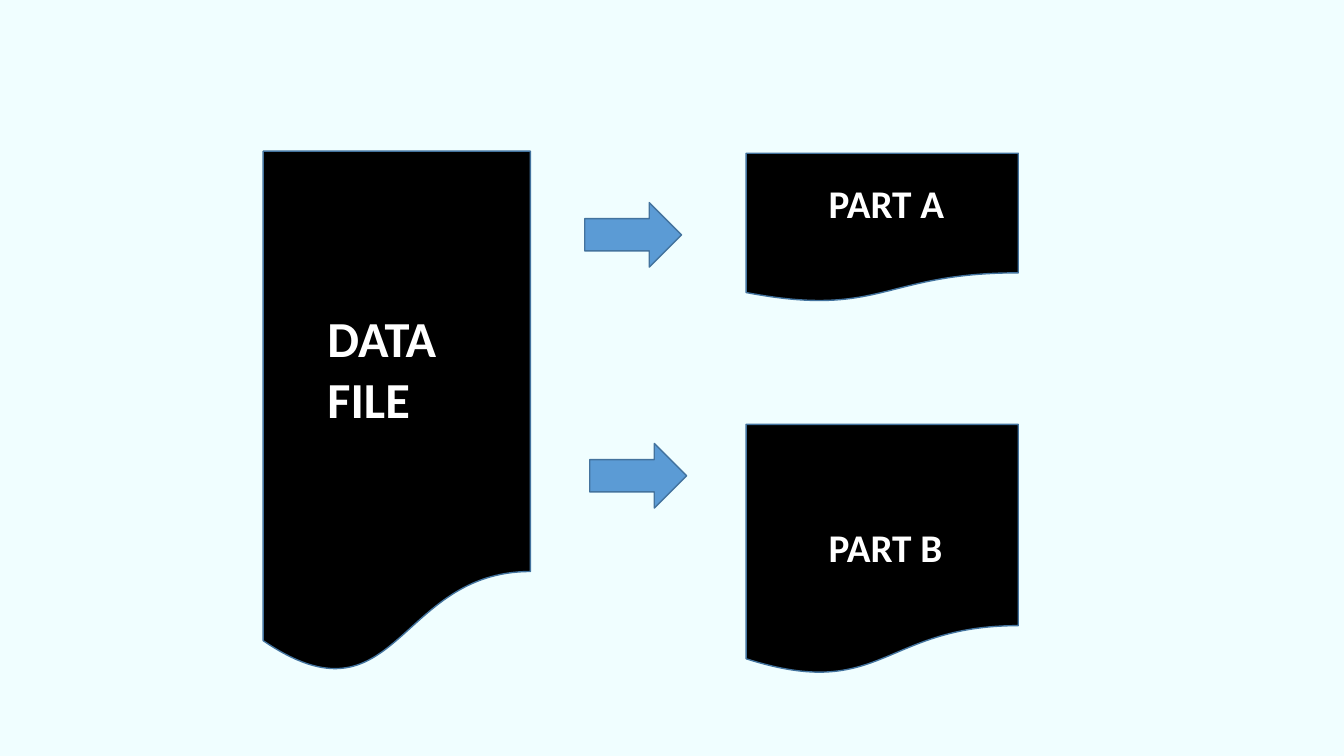
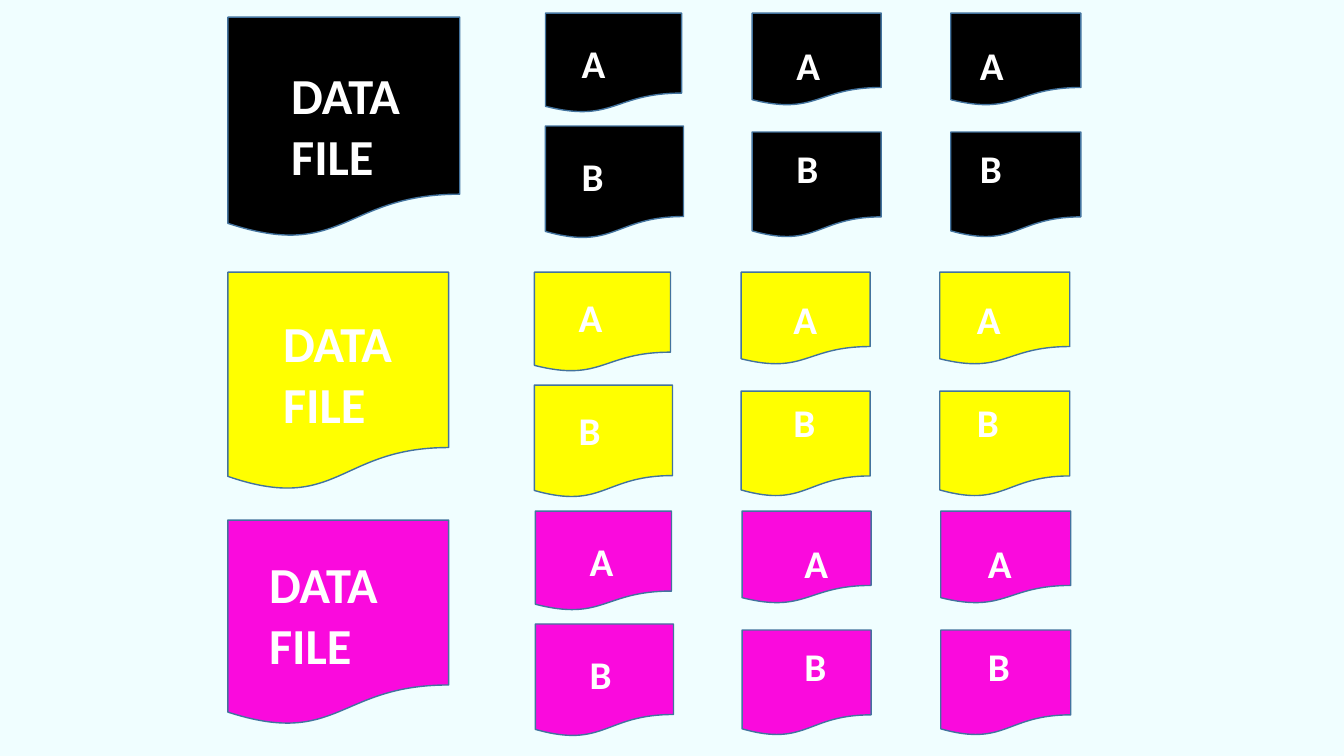
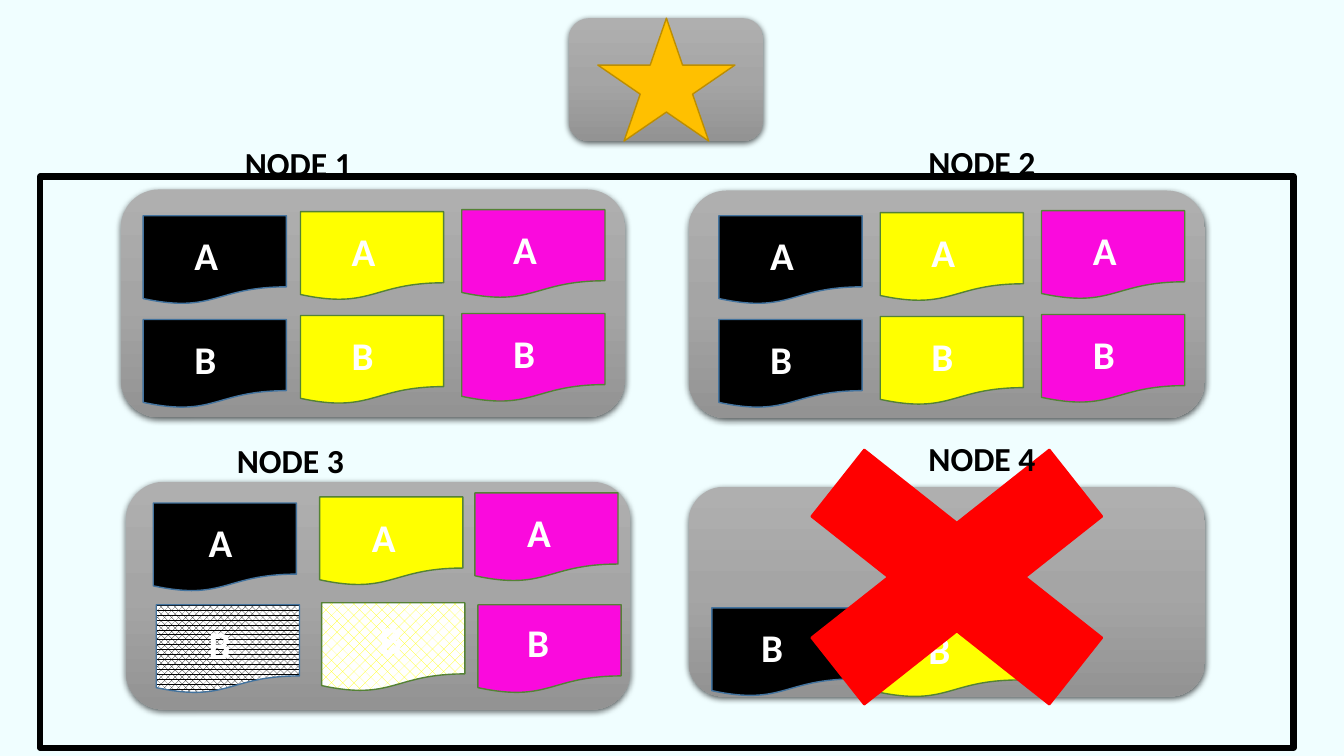
import lxml.etree
import pptx
import pptx.dml.color
import pptx.enum.dml
import pptx.enum.shapes
import pptx.enum.text
import pptx.oxml.ns
import pptx.util

Inches = pptx.util.Inches
SHAPE = pptx.enum.shapes.MSO_SHAPE
PATTERN = pptx.enum.dml.MSO_PATTERN

FONT = "Calibri"
BACKGROUND = "F0FEFF"
BLACK, WHITE, YELLOW, MAGENTA = "000000", "FFFFFF", "FFFF00", "FA0ADD"
BLUE, RED, GOLD = "5B9BD5", "FF0000", "FFC000"
BLUE_EDGE, GREEN_EDGE, GOLD_EDGE = "43739E", "548235", "BD8E00"
GREY_STOPS = ((0, "AFAFAF"), (50, "A5A5A5"), (100, "939393"))


def rgb(color):
    return pptx.dml.color.RGBColor.from_string(color)


def add_xml(parent, tag, **attributes):
    return lxml.etree.SubElement(parent, pptx.oxml.ns.qn(tag), attributes)


class Deck:
    """Holds the shared style and the slide being drawn."""

    def __init__(self):
        self.presentation = pptx.Presentation()
        self.presentation.slide_width = Inches(13.33)
        self.presentation.slide_height = Inches(7.5)
        backdrop = self.presentation.slide_master.background.fill
        backdrop.solid()
        backdrop.fore_color.rgb = rgb(BACKGROUND)
        self.slide = None

    def new_slide(self):
        blank = self.presentation.slide_layouts[6]
        self.slide = self.presentation.slides.add_slide(blank)

    def shape(self, preset, box, fill=None, edge=None, weight=1):
        shape = self.slide.shapes.add_shape(preset, *map(Inches, box))
        shape.shadow.inherit = False
        if fill:
            shape.fill.solid()
            shape.fill.fore_color.rgb = rgb(fill)
        else:
            shape.fill.background()
        if edge:
            shape.line.color.rgb = rgb(edge)
            shape.line.width = pptx.util.Pt(weight)
        else:
            shape.line.fill.background()
        return shape

    def document(self, box, fill, edge=BLUE_EDGE, pattern=None):
        document = self.shape(SHAPE.FLOWCHART_DOCUMENT, box, fill, edge)
        if pattern:
            document.fill.patterned()
            document.fill.pattern = pattern
            document.fill.fore_color.rgb = rgb(fill)
            document.fill.back_color.rgb = rgb(WHITE)

    def panel(self, box):
        """Grey rounded panel with a gradient and a soft shadow."""
        panel = self.shape(SHAPE.ROUNDED_RECTANGLE, box)
        panel.fill.gradient()
        panel.fill.gradient_angle = 270
        properties = panel._element.spPr
        stops = properties.find(".//" + pptx.oxml.ns.qn("a:gsLst"))
        for stop in list(stops):
            stops.remove(stop)
        for percent, color in GREY_STOPS:
            stop = add_xml(stops, "a:gs", pos=str(percent * 1000))
            add_xml(stop, "a:srgbClr", val=color)
        effects = properties.find(pptx.oxml.ns.qn("a:effectLst"))
        shadow = add_xml(effects, "a:outerShdw", blurRad="57150", dist="19050",
                         dir="5400000", algn="ctr", rotWithShape="0")
        shade = add_xml(shadow, "a:srgbClr", val=BLACK)
        add_xml(shade, "a:alpha", val="63000")

    def put_text(self, holder, text, size, color):
        frame = holder.text_frame
        frame.word_wrap = True
        frame.vertical_anchor = pptx.enum.text.MSO_ANCHOR.TOP
        frame.text = text
        for paragraph in frame.paragraphs:
            paragraph.alignment = pptx.enum.text.PP_ALIGN.LEFT
            for run in paragraph.runs:
                run.font.name = FONT
                run.font.size = pptx.util.Pt(size)
                run.font.bold = True
                run.font.color.rgb = rgb(color)

    def text(self, box, text, size, color=WHITE):
        holder = self.slide.shapes.add_textbox(*map(Inches, box))
        self.put_text(holder, text, size, color)

    def letter(self, left, top, text):
        holder = self.shape(SHAPE.FLOWCHART_DOCUMENT, (left, top, 0.91, 0.71))
        self.put_text(holder, text, 28, WHITE)

    def file_title(self, left, top):
        self.text((left, top, 1.57, 1.31), "DATA\nFILE", 36)


def split_slide(deck):
    deck.new_slide()
    for box in ((2.61, 1.5, 2.65, 5.2), (7.4, 1.52, 2.7, 1.48),
                (7.4, 4.21, 2.7, 2.49)):
        deck.document(box, BLACK)
    for top, name in ((1.73, "PART A"), (5.14, "PART B")):
        deck.text((8.12, top, 1.81, 0.57), name, 28)
    deck.file_title(3.15, 3)
    for left, top in ((5.8, 2.01), (5.85, 4.4)):
        deck.shape(SHAPE.RIGHT_ARROW, (left, top, 0.96, 0.64), BLUE, BLUE_EDGE)


def replicas_slide(deck):
    deck.new_slide()
    # Each file: colour, whole file, its title, first part, first letter
    files = (
        (BLACK, (2.26, 0.17, 2.3, 2.19), (2.79, 0.59), (5.41, 0.13), (5.67, 0.34)),
        (YELLOW, (2.26, 2.7, 2.19, 2.17), (2.71, 3.05), (5.3, 2.7), (5.64, 2.86)),
        (MAGENTA, (2.26, 5.16, 2.19, 2.04), (2.57, 5.44), (5.31, 5.07), (5.75, 5.28)),
    )
    # Each part, relative to the first: name, place, size, letter place
    parts = (
        ("A", (0, 0), (1.35, 0.99), (0, 0)),
        ("B", (0, 1.12), (1.37, 1.12), (0, 1.12)),
        ("A", (2.05, 0), (1.28, 0.92), (2.13, 0.02)),
        ("B", (2.05, 1.18), (1.28, 1.05), (2.13, 1.04)),
        ("A", (4.02, 0), (1.29, 0.92), (3.95, 0.02)),
        ("B", (4.02, 1.18), (1.29, 1.05), (3.95, 1.04)),
    )
    for color, whole, title, (left, top), (letter_left, letter_top) in files:
        deck.document(whole, color)
        deck.file_title(*title)
        for name, (dx, dy), size, (letter_dx, letter_dy) in parts:
            deck.document((left + dx, top + dy, *size), color)
            deck.letter(letter_left + letter_dx, letter_top + letter_dy, name)


def nodes_slide(deck):
    deck.new_slide()
    for node in ((6.83, 1.89, 5.12, 2.26), (1.2, 1.88, 5, 2.26),
                 (1.25, 4.78, 5, 2.26), (6.83, 4.83, 5.12, 2.08)):
        deck.panel(node)

    # Healthy nodes 1 and 2: an A above a B in each colour
    part_gap = 1.03
    pairs = ((BLACK, 1.42, 2.14), (YELLOW, 2.98, 2.1), (MAGENTA, 4.58, 2.08),
             (BLACK, 7.13, 2.14), (YELLOW, 8.73, 2.11), (MAGENTA, 10.33, 2.09))
    stored = [(name, color, left, top + row * part_gap, 0.41, 0.11, None)
              for color, left, top in pairs
              for row, name in enumerate("AB")]
    # Nodes 3 and 4: name, colour, place, letter offset, pattern
    stored += [
        ("B", BLACK, 7.06, 6.03, 0.39, 0.1, None),
        ("B", YELLOW, 8.69, 6.04, 0.42, 0.11, None),
        ("A", BLACK, 1.52, 4.99, 0.45, 0.1, None),
        ("A", YELLOW, 3.17, 4.93, 0.42, 0.11, None),
        ("A", MAGENTA, 4.71, 4.89, 0.42, 0.1, None),
        ("B", BLACK, 1.55, 6, 0.42, 0.1, PATTERN.PERCENT_70),
        ("B", YELLOW, 3.19, 5.98, 0.48, 0.07, PATTERN.PERCENT_25),
        ("B", MAGENTA, 4.74, 6, 0.39, 0.08, None),
    ]
    for name, color, left, top, dx, dy, pattern in stored:
        edge = BLUE_EDGE if color == BLACK else GREEN_EDGE
        deck.document((left, top, 1.42, 0.88), color, edge, pattern)
        deck.letter(left + dx, top + dy, name)

    # Failed node, master node and cluster frame
    deck.shape(SHAPE.MATH_MULTIPLY, (7.22, 3.93, 4.54, 3.59), RED, RED, 1.5)
    deck.panel((5.64, 0.18, 1.93, 1.22))
    deck.shape(SHAPE.STAR_5_POINT, (5.93, 0.18, 1.36, 1.22), GOLD, GOLD_EDGE)
    deck.shape(SHAPE.RECTANGLE, (0.4, 1.75, 12.43, 5.67), None, BLACK, 4.5)
    name_places = ((2.33, 1.37), (9.11, 1.36), (2.25, 4.32), (9.11, 4.3))
    for number, (left, top) in enumerate(name_places, 1):
        deck.text((left, top, 3.31, 0.5), f"NODE {number}", 24, BLACK)


def main():
    deck = Deck()
    split_slide(deck)
    replicas_slide(deck)
    nodes_slide(deck)
    deck.presentation.save("out.pptx")


if __name__ == "__main__":
    main()
